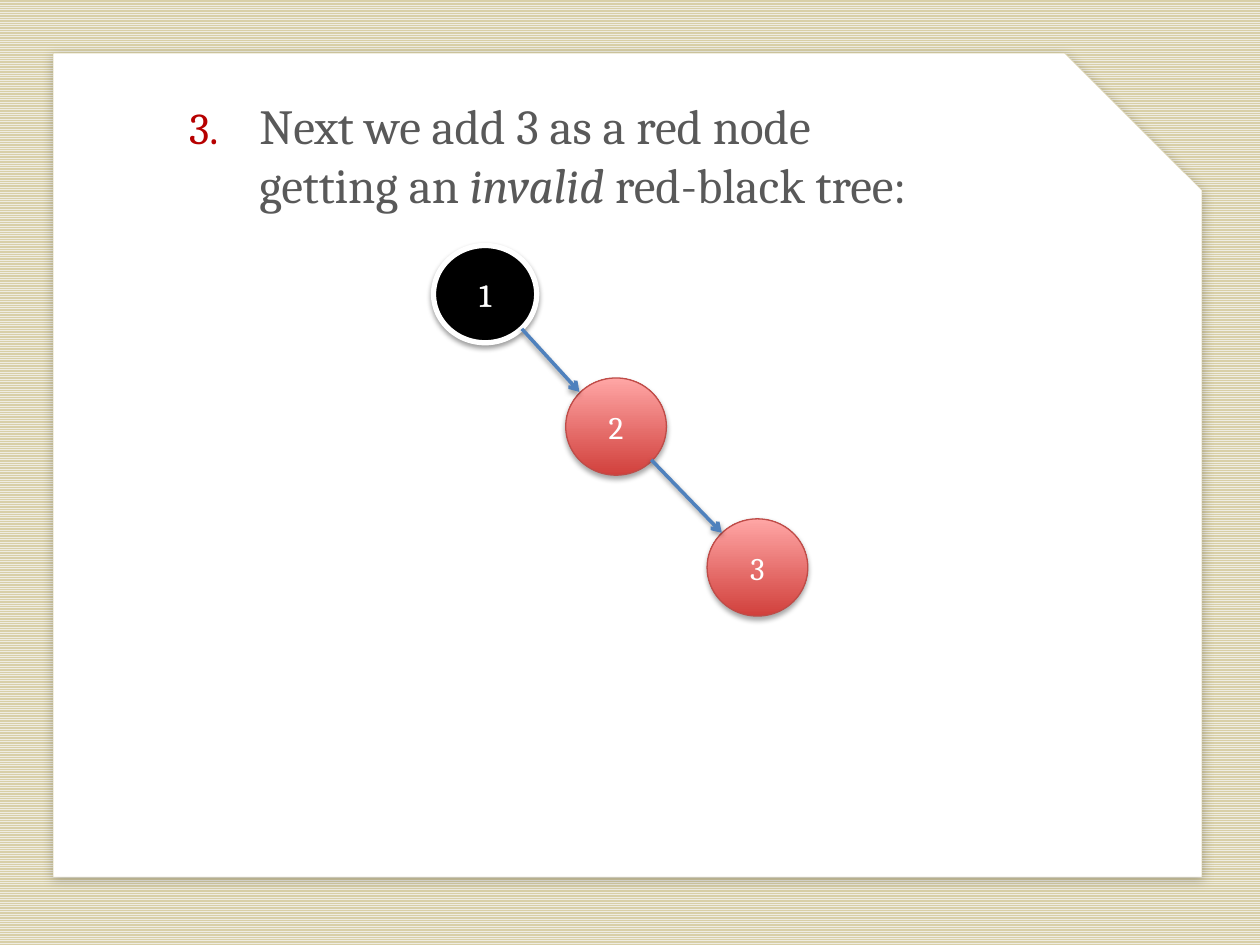
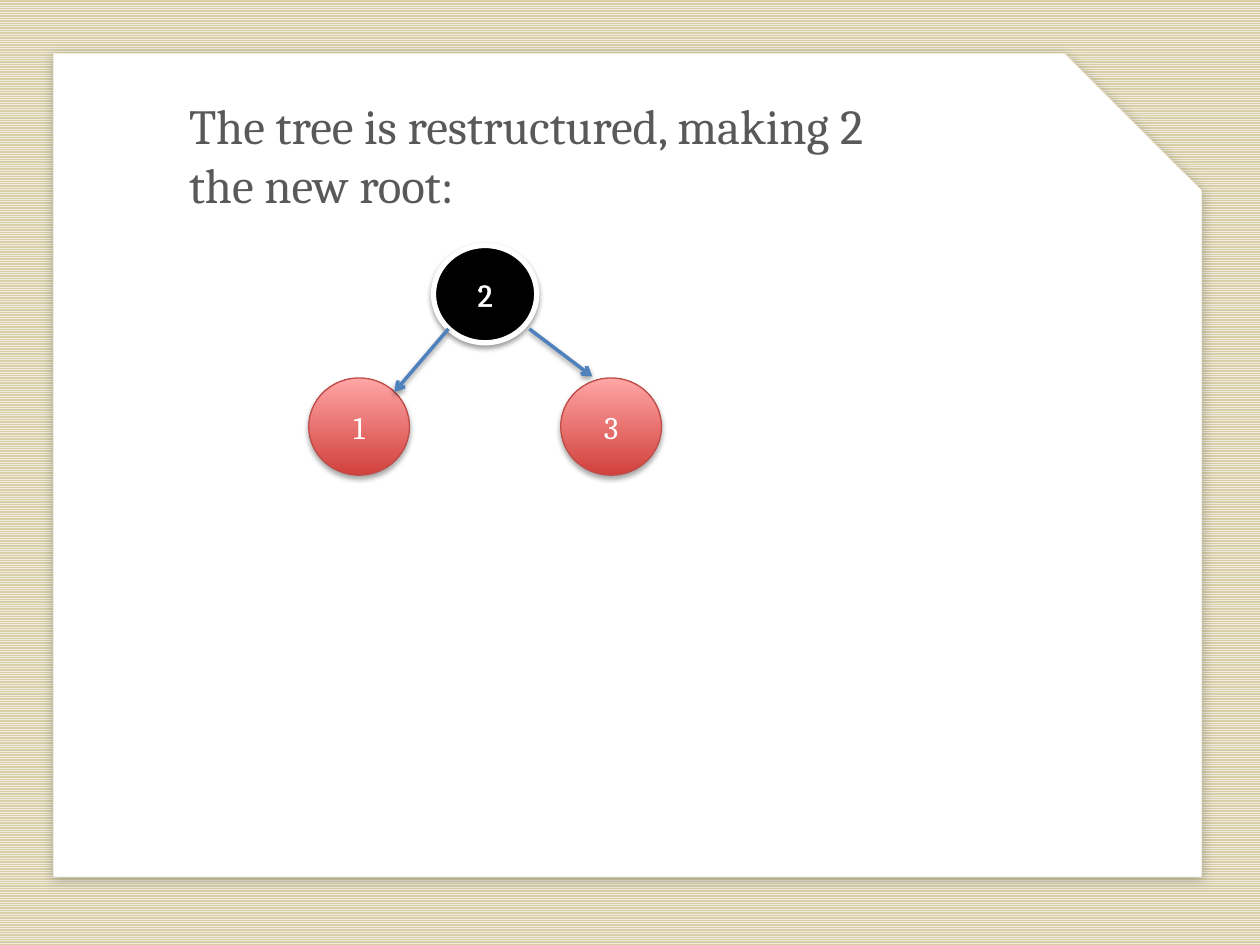
from pptx import Presentation
from pptx.dml.color import RGBColor
from pptx.enum.dml import MSO_PATTERN as Pattern
from pptx.enum.shapes import MSO_CONNECTOR as Link, MSO_SHAPE as Shape
from pptx.enum.text import MSO_ANCHOR as Anchor, MSO_AUTO_SIZE as Fit, PP_ALIGN as Align
from pptx.oxml import parse_xml
from pptx.oxml.ns import nsdecls
from pptx.util import Cm, Pt

FONT = "Cambria"
SAND, CREAM, WHITE, BLACK = "D8CFA7", "EEECE1", "FFFFFF", "000000"
GREY, CRIMSON, BLUE = "595959", "B70000", "4F81BD"
ROSE, RED, RIM = "FFA6A5", "D1403C", "BF4C48"
NS = nsdecls("a")
rgb = RGBColor.from_string


def cast(item, alpha, blur, dist, angle):
    """Give a shape or connector a soft black shadow."""
    for old in item._element.spPr.findall("{*}effectLst"):
        item._element.spPr.remove(old)
    item._element.spPr.append(parse_xml(
        f'<a:effectLst {NS}><a:outerShdw blurRad="{Pt(blur)}" dist="{Pt(dist)}" '
        f'dir="{angle * 60000}" rotWithShape="0"><a:srgbClr val="{BLACK}">'
        f'<a:alpha val="{alpha * 1000}"/></a:srgbClr></a:outerShdw></a:effectLst>'))


# Per slide: first list number (or None), text runs (text, italic),
# nodes (key, centre x, centre y, is root), edges (x1, y1, x2, y2); all in cm
SLIDES = [
    (3,
     [("Next we add 3 as a red node getting an ", False),
      ("invalid", True), (" red-black tree:", False)],
     [("2", 12.42, 8.6, False), ("1", 9.78, 5.93, True), ("3", 15.27, 11.44, False)],
     [(10.52, 6.63, 11.68, 7.9), (13.13, 9.27, 14.55, 10.74)]),
    (None,
     [("The tree is restructured, making 2 the new root:", False)],
     [("1", 7.24, 8.6, False), ("2", 9.78, 5.93, True), ("3", 12.32, 8.6, False)],
     [(9.04, 6.63, 7.95, 7.9), (10.67, 6.63, 11.94, 7.59)]),
]

deck = Presentation()
deck.slide_width, deck.slide_height = Cm(25.4), Cm(19.05)
layout = deck.slide_layouts[0]

# Shared striped background
back = deck.slide_master.background.fill
back.patterned()
back.pattern = Pattern.NARROW_HORIZONTAL
back.fore_color.rgb, back.back_color.rgb = rgb(CREAM), rgb(SAND)

for start, parts, nodes, edges in SLIDES:
    slide = deck.slides.add_slide(layout)
    title, body = slide.placeholders
    title._element.getparent().remove(title._element)

    # Body text
    body.left, body.top, body.width, body.height = Cm(3.81), Cm(1.93), Cm(15.09), Cm(13.08)
    frame = body.text_frame
    frame.auto_size = Fit.NONE
    frame.margin_left = frame.margin_right = frame.margin_top = frame.margin_bottom = 0
    para = frame.paragraphs[0]
    para.alignment = Align.LEFT
    for text, slant in parts:
        run = para.add_run()
        run.text = text
        run.font.name, run.font.size, run.font.italic = FONT, Pt(28), slant
        run.font.color.rgb = rgb(GREY)
    if start:
        props = para._p.get_or_add_pPr()
        props.set("marL", str(Cm(1.42)))
        props.set("indent", str(-Cm(1.42)))
        for mark in (f'<a:buClr {NS}><a:srgbClr val="{CRIMSON}"/></a:buClr>',
                     f'<a:buSzPct {NS} val="90000"/>',
                     f'<a:buFont {NS} typeface="{FONT}"/>',
                     f'<a:buAutoNum {NS} type="arabicPeriod" startAt="{start}"/>'):
            props.append(parse_xml(mark))

    # Tree nodes
    for key, x, y, root in nodes:
        wide, high = (2.08 if root else 2.03), 1.96
        node = slide.shapes.add_shape(
            Shape.OVAL, Cm(x - wide / 2), Cm(y - high / 2), Cm(wide), Cm(high))
        if root:
            node.fill.solid()
            node.fill.fore_color.rgb = rgb(BLACK)
        else:
            node.fill.gradient()
            node.fill.gradient_angle = 90
            for stop, tint in zip(node.fill.gradient_stops, (RED, ROSE)):
                stop.color.rgb = rgb(tint)
        node.line.color.rgb = rgb(WHITE if root else RIM)
        node.line.width = Pt(3 if root else 0.75)
        cast(node, *((38, 3.1, 1.6, 90) if root else (35, 3.1, 1.8, 90)))
        node.text_frame.text = key
        node.text_frame.vertical_anchor = Anchor.MIDDLE
        para = node.text_frame.paragraphs[0]
        para.alignment = Align.CENTER
        run = para.runs[0]
        run.font.name, run.font.size = FONT, Pt(18)
        run.font.color.rgb = rgb(WHITE)
        if root:
            run._r.get_or_add_rPr().insert(0, parse_xml(
                f'<a:ln {NS} w="{Pt(1.45)}"><a:solidFill><a:srgbClr val="{WHITE}"/>'
                '</a:solidFill></a:ln>'))

    # Arrows from parent to child
    for edge in edges:
        arrow = slide.shapes.add_connector(Link.STRAIGHT, *map(Cm, edge))
        arrow.line.color.rgb, arrow.line.width = rgb(BLUE), Pt(2)
        arrow.line._get_or_add_ln().append(parse_xml(f'<a:tailEnd {NS} type="arrow"/>'))
        cast(arrow, 38, 3.1, 1.6, 90)

# Shared white card, moved to the back of the layout
card = slide.shapes.add_shape(
    Shape.SNIP_1_RECTANGLE, Cm(1.07), Cm(1.07), Cm(23.16), Cm(16.61))
card.fill.solid()
card.fill.fore_color.rgb = rgb(WHITE)
card.line.color.rgb, card.line.width = rgb(SAND), Pt(0.25)
cast(card, 22, 6, 2, 80)
layout.shapes._spTree.insert(2, card._element)

deck.save("out.pptx")
